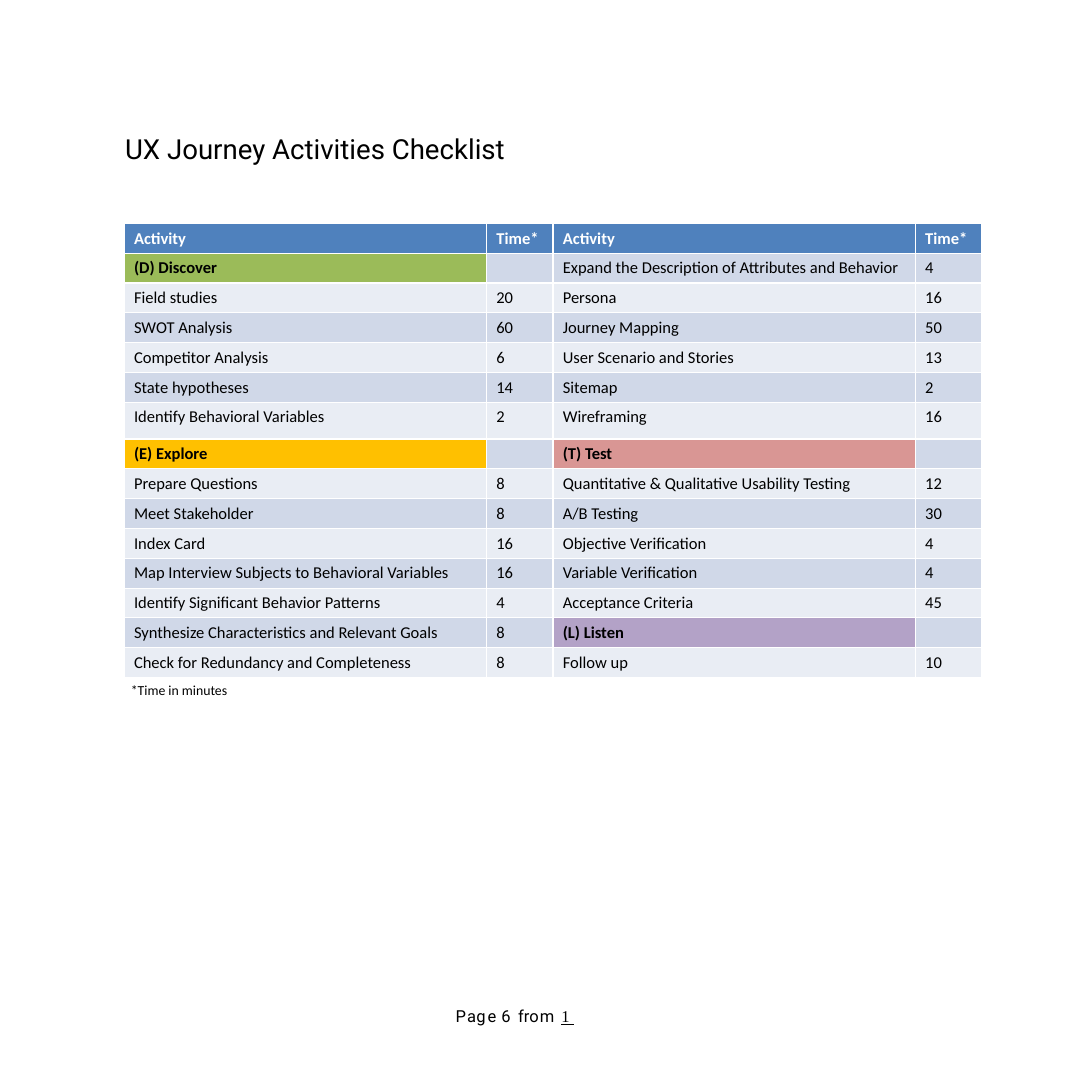
"""Build the UX journey activities checklist slide."""
import pptx
import pptx.dml.color
import pptx.enum.text
import pptx.oxml
import pptx.oxml.ns
import pptx.util
from lxml import etree

Inches = pptx.util.Inches
Pt = pptx.util.Pt
RGBColor = pptx.dml.color.RGBColor

BLACK = RGBColor(0x00, 0x00, 0x00)
WHITE = RGBColor(0xFF, 0xFF, 0xFF)
HEADER_BLUE = RGBColor(0x4F, 0x81, 0xBD)
BANDS = (RGBColor(0xE9, 0xED, 0xF4), RGBColor(0xD0, 0xD8, 0xE8))

TITLE = "UX Journey Activities Checklist"
HEADER = ("Activity", "Time*", "Activity", "Time*")
ACTIVITIES = [
    ("(D) Discover", "", "Expand the Description of Attributes and Behavior", "4"),
    ("Field studies", "20", "Persona", "16"),
    ("SWOT Analysis", "60", "Journey Mapping", "50"),
    ("Competitor Analysis", "6", "User Scenario and Stories", "13"),
    ("State hypotheses", "14", "Sitemap", "2"),
    ("Identify Behavioral Variables", "2", "Wireframing", "16"),
    ("(E) Explore", "", "(T) Test", ""),
    ("Prepare Questions", "8", "Quantitative & Qualitative Usability Testing", "12"),
    ("Meet Stakeholder", "8", "A/B Testing", "30"),
    ("Index Card", "16", "Objective Verification", "4"),
    ("Map Interview Subjects to Behavioral Variables", "16", "Variable Verification", "4"),
    ("Identify Significant Behavior Patterns", "4", "Acceptance Criteria", "45"),
    ("Synthesize Characteristics and Relevant Goals", "8", "(L) Listen", ""),
    ("Check for Redundancy and Completeness", "8", "Follow up", "10"),
]
PHASE_FILLS = {
    "(D) Discover": RGBColor(0x9B, 0xBB, 0x59),
    "(E) Explore": RGBColor(0xFF, 0xC0, 0x00),
    "(T) Test": RGBColor(0xD9, 0x96, 0x94),
    "(L) Listen": RGBColor(0xB3, 0xA2, 0xC7),
}
COLUMN_WIDTHS = (3.65, 0.67, 3.65, 0.67)
ROW_HEIGHT = 0.3
TALL_ROW, TALL_HEIGHT = 6, 0.37
TIME_NOTE = "*Time in minutes"
PAGE_LABEL = [("P", 0.7), ("a", 0.2), ("g", 1.4), ("e ", 0.4), ("6 ", 1.2),
              ("fr", -0.1), ("o", 0.7), ("m ", 1.1)]
PAGE_TOTAL = "1 \t"
PAGE_TAB = 1.35


def style(run, font, size, color=BLACK, bold=False):
    run.font.name = font
    run.font.size = Pt(size)
    run.font.color.rgb = color
    run.font.bold = bold


def add_text_frame(slide, left, top, width, height, margins=None, wrap=True):
    frame = slide.shapes.add_textbox(
        Inches(left), Inches(top), Inches(width), Inches(height)).text_frame
    frame.word_wrap = wrap
    if margins:
        (frame.margin_left, frame.margin_top,
         frame.margin_right, frame.margin_bottom) = map(Inches, margins)
    return frame


def add_title(slide):
    frame = add_text_frame(slide, 1.25, 1.31, 6.03, 0.35, (0.01, 0.02, 0, 0))
    frame.text = TITLE
    style(frame.paragraphs[0].runs[0], "Roboto", 20)


def add_checklist(slide):
    rows = [HEADER] + ACTIVITIES
    heights = [TALL_HEIGHT if r == TALL_ROW else ROW_HEIGHT for r in range(len(rows))]
    checklist = slide.shapes.add_table(
        len(rows), len(HEADER), Inches(1.25), Inches(2.25),
        Inches(sum(COLUMN_WIDTHS)), Inches(sum(heights))).table
    for column, width in zip(checklist.columns, COLUMN_WIDTHS):
        column.width = Inches(width)
    for r, (row, height) in enumerate(zip(rows, heights)):
        checklist.rows[r].height = Inches(height)
        for c, entry in enumerate(row):
            cell = checklist.cell(r, c)
            is_header = r == 0
            cell.fill.solid()
            cell.fill.fore_color.rgb = (
                HEADER_BLUE if is_header else PHASE_FILLS.get(entry, BANDS[r % 2]))
            cell.text = entry
            paragraph = cell.text_frame.paragraphs[0]
            for run in paragraph.runs:
                style(run, "Calibri", 12, WHITE if is_header else BLACK,
                      is_header or entry in PHASE_FILLS)
            if not entry:
                etree.SubElement(paragraph._p, pptx.oxml.ns.qn("a:endParaRPr"), sz="1200")


def add_time_note(slide):
    frame = add_text_frame(slide, 1.22, 6.82, 1.19, 0.27, wrap=False)
    frame.text = TIME_NOTE
    style(frame.paragraphs[0].runs[0], "Calibri", 10)


def add_page_label(slide):
    frame = add_text_frame(slide, 4.58, 10.14, 1.41, 0.2, (0.01, 0, 0, 0))
    paragraph = frame.paragraphs[0]
    paragraph.line_spacing = Pt(14.1)
    tabs = etree.SubElement(paragraph._p.get_or_add_pPr(), pptx.oxml.ns.qn("a:tabLst"))
    etree.SubElement(tabs, pptx.oxml.ns.qn("a:tab"), pos=str(Inches(PAGE_TAB)), algn="l")
    for letters, spacing in PAGE_LABEL:
        run = paragraph.add_run()
        run.text = letters
        style(run, "Roboto", 12)
        run._r.get_or_add_rPr().set("spc", str(round(spacing * 100)))
    total = paragraph.add_run()
    total.text = PAGE_TOTAL
    style(total, "Times New Roman", 12)
    total.font.underline = True


def main():
    deck = pptx.Presentation()
    deck.slide_width = deck.slide_height = Inches(11)
    slide = deck.slides.add_slide(deck.slide_layouts[6])
    add_title(slide)
    add_checklist(slide)
    add_time_note(slide)
    add_page_label(slide)
    deck.save("out.pptx")


if __name__ == "__main__":
    main()
